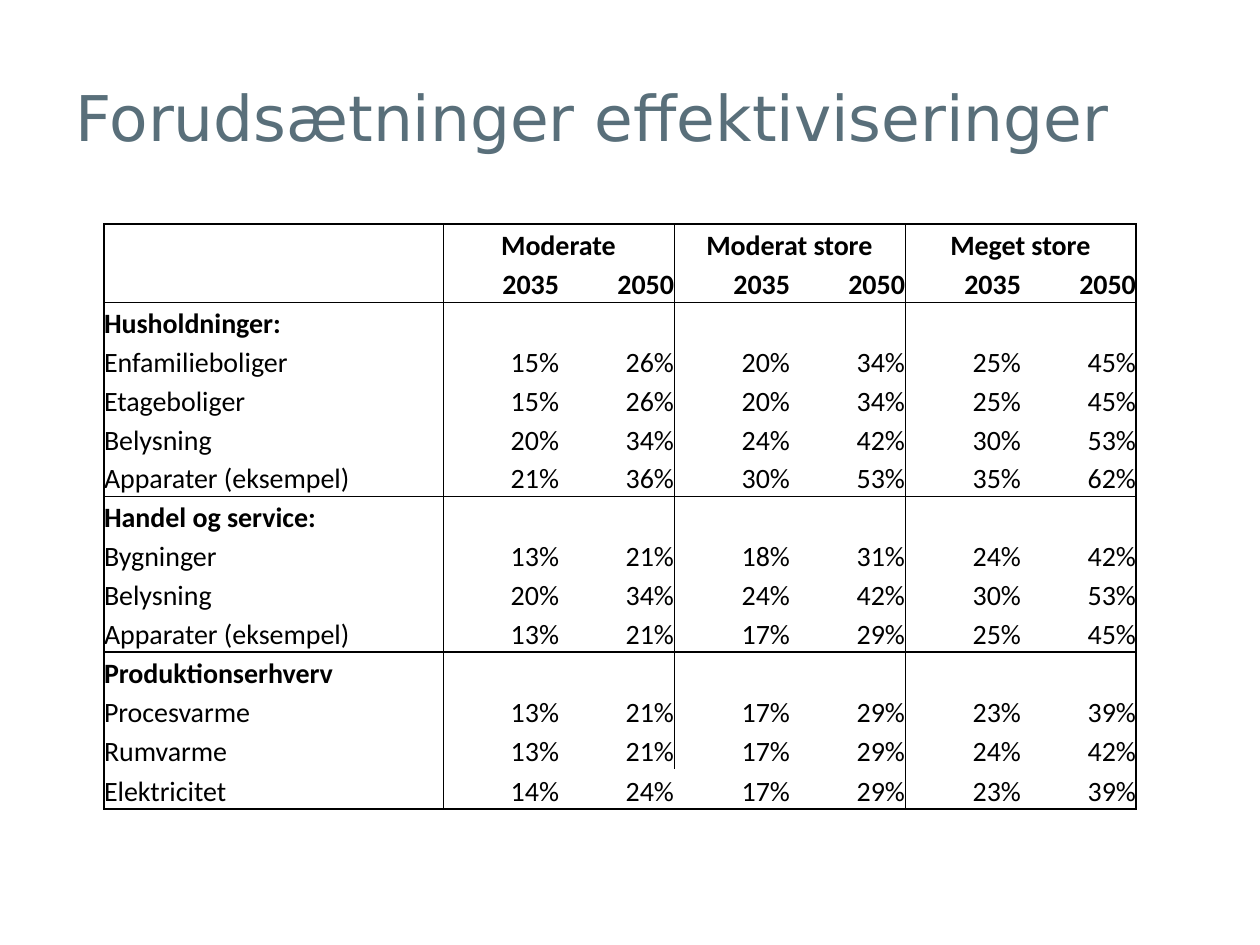
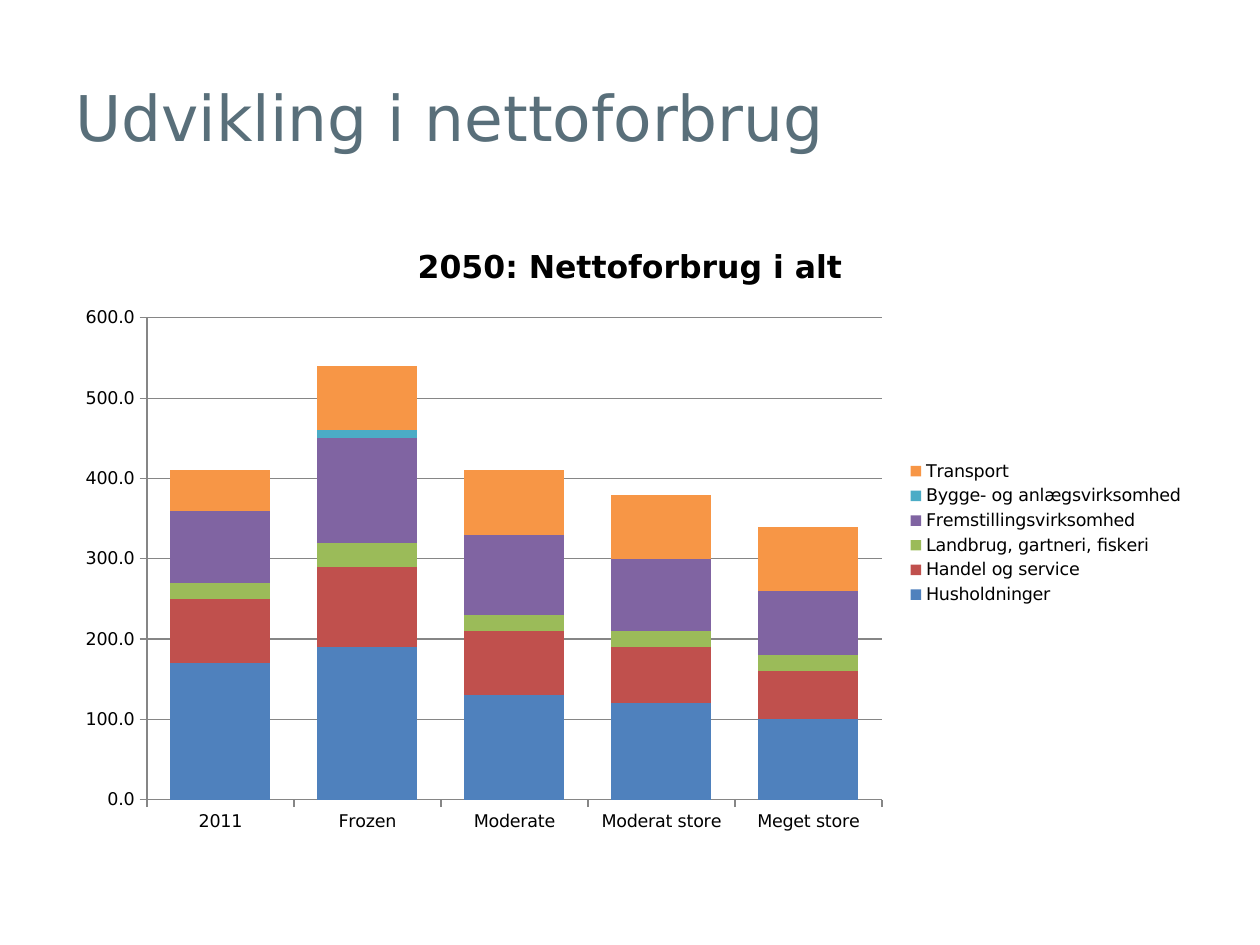
from dataclasses import dataclass

from lxml import etree
from pptx import Presentation
from pptx.chart.data import CategoryChartData
from pptx.dml.color import RGBColor
from pptx.enum.chart import XL_CHART_TYPE, XL_LEGEND_POSITION, XL_TICK_MARK
from pptx.enum.text import MSO_ANCHOR, MSO_AUTO_SIZE, PP_ALIGN
from pptx.oxml.ns import qn
from pptx.util import Pt

STACKED = XL_CHART_TYPE.COLUMN_STACKED
LEGEND_RIGHT = XL_LEGEND_POSITION.RIGHT
TICK_OUT, TICK_NONE = XL_TICK_MARK.OUTSIDE, XL_TICK_MARK.NONE
MIDDLE, BOTTOM = MSO_ANCHOR.MIDDLE, MSO_ANCHOR.BOTTOM
LEFT, CENTER, RIGHT = PP_ALIGN.LEFT, PP_ALIGN.CENTER, PP_ALIGN.RIGHT
NO_AUTOFIT = MSO_AUTO_SIZE.NONE

PX_PER_INCH = 126
TITLE_ONLY = 5


@dataclass(frozen=True)
class Theme:
    title_font: str = "DejaVu Sans"
    table_font: str = "Calibri"
    title_color: str = "596F7A"
    ink: str = "000000"
    axis: str = "868686"
    title_size: int = 36
    table_size: int = 16
    chart_title_size: int = 18
    chart_size: int = 10
    axis_width: float = 0.75


def px(length):
    return round(length * 914400 / PX_PER_INCH)


def apply(target, values):
    for name, value in values.items():
        setattr(target, name, value)


def style_font(font, name, size, color, bold=False):
    apply(font, {"name": name, "size": Pt(size), "bold": bold})
    font.color.rgb = RGBColor.from_string(color)


class Deck:
    """Holds the theme, the presentation and the page being built."""

    def __init__(self, theme, width, height):
        self.theme = theme
        self.presentation = Presentation()
        apply(self.presentation, {"slide_width": px(width), "slide_height": px(height)})
        self.page = None

    def add_page(self, title):
        layout = self.presentation.slide_layouts[TITLE_ONLY]
        self.page = self.presentation.slides.add_slide(layout)
        box = self.page.shapes.title
        apply(box, {"left": px(63), "top": px(38), "width": px(1134), "height": px(157)})
        apply(box.text_frame, {"text": title, "word_wrap": True,
                               "auto_size": NO_AUTOFIT, "vertical_anchor": MIDDLE})
        para = box.text_frame.paragraphs[0]
        para.alignment = LEFT
        style_font(para.runs[0].font, self.theme.title_font,
                   self.theme.title_size, self.theme.title_color)

    def add_table(self, left, top, widths, heights):
        frame = self.page.shapes.add_table(
            len(heights), len(widths), px(left), px(top), px(sum(widths)), px(sum(heights)))
        table = frame.table
        apply(table, {"first_row": False, "horz_banding": False})
        for column, width in zip(table.columns, widths):
            column.width = px(width)
        for row, height in zip(table.rows, heights):
            row.height = px(height)
        return table

    def fill_cell(self, cell, text, alignment, bold):
        apply(cell, {"margin_left": 0, "margin_right": 0, "margin_top": 0,
                     "margin_bottom": 0, "vertical_anchor": BOTTOM})
        if text:
            cell.text = text
            para = cell.text_frame.paragraphs[0]
            para.alignment = alignment
            style_font(para.runs[0].font, self.theme.table_font,
                       self.theme.table_size, self.theme.ink, bold)

    def rule_cell(self, cell, widths):
        """Draw borders from a side-to-points dict; None leaves a side open."""
        properties = cell._tc.get_or_add_tcPr()
        for side in "LRTB":
            line = etree.SubElement(properties, qn(f"a:ln{side}"))
            if widths[side] is None:
                etree.SubElement(line, qn("a:noFill"))
            else:
                line.set("w", str(Pt(widths[side])))
                fill = etree.SubElement(line, qn("a:solidFill"))
                etree.SubElement(fill, qn("a:srgbClr"), val=self.theme.ink)
        cell.fill.background()

    def add_stacked_chart(self, title, categories, series, area, plot_area):
        data = CategoryChartData(number_format="0.0")
        data.categories = categories
        for name, _, values in series:
            data.add_series(name, values)
        chart = self.page.shapes.add_chart(STACKED, *map(px, area), data).chart
        style_font(chart.font, self.theme.title_font, self.theme.chart_size, self.theme.ink)

        chart.has_title = True
        chart.chart_title.include_in_layout = False
        chart.chart_title.text_frame.text = title
        span = chart.chart_title.text_frame.paragraphs[0].runs[0]
        style_font(span.font, self.theme.title_font,
                   self.theme.chart_title_size, self.theme.ink, True)

        chart.has_legend = True
        apply(chart.legend, {"position": LEGEND_RIGHT, "include_in_layout": False})
        plot = chart.plots[0]
        apply(plot, {"gap_width": 47, "overlap": 100, "vary_by_categories": False})
        for bars, (_, color, _) in zip(plot.series, series):
            bars.format.fill.solid()
            bars.format.fill.fore_color.rgb = RGBColor.from_string(color)
        self.style_axes(chart)
        self.place_plot(chart, area, plot_area)

    def style_axes(self, chart):
        value_axis = chart.value_axis
        apply(value_axis, {"minimum_scale": 0, "maximum_scale": 600, "major_unit": 100,
                           "has_major_gridlines": True})
        apply(value_axis.tick_labels, {"number_format": "0.0",
                                       "number_format_is_linked": False})
        for axis in (chart.category_axis, value_axis):
            apply(axis, {"major_tick_mark": TICK_OUT, "minor_tick_mark": TICK_NONE})
        for part in (chart.category_axis, value_axis, value_axis.major_gridlines):
            part.format.line.width = Pt(self.theme.axis_width)
            part.format.line.color.rgb = RGBColor.from_string(self.theme.axis)

    def place_plot(self, chart, area, plot_area):
        """Fix the inner plot rectangle as fractions of the chart area."""
        holder = chart.element.find(".//" + qn("c:plotArea"))
        for old in holder.findall(qn("c:layout")):
            holder.remove(old)
        layout = etree.Element(qn("c:layout"))
        holder.insert(0, layout)
        manual = etree.SubElement(layout, qn("c:manualLayout"))
        left, top, width, height = area
        plot_left, plot_top, plot_width, plot_height = plot_area
        settings = {
            "layoutTarget": "inner", "xMode": "edge", "yMode": "edge",
            "x": (plot_left - left) / width, "y": (plot_top - top) / height,
            "w": plot_width / width, "h": plot_height / height,
        }
        for name, value in settings.items():
            etree.SubElement(manual, qn(f"c:{name}"), val=str(value))


SCENARIOS = ["Moderate", "Moderat store", "Meget store"]

# A row without figures opens a section.
SAVINGS = [
    ("Husholdninger:",),
    ("Enfamilieboliger", 15, 26, 20, 34, 25, 45),
    ("Etageboliger", 15, 26, 20, 34, 25, 45),
    ("Belysning", 20, 34, 24, 42, 30, 53),
    ("Apparater (eksempel)", 21, 36, 30, 53, 35, 62),
    ("Handel og service:",),
    ("Bygninger", 13, 21, 18, 31, 24, 42),
    ("Belysning", 20, 34, 24, 42, 30, 53),
    ("Apparater (eksempel)", 13, 21, 17, 29, 25, 45),
    ("Produktionserhverv",),
    ("Procesvarme", 13, 21, 17, 29, 23, 39),
    ("Rumvarme", 13, 21, 17, 29, 24, 42),
    ("Elektricitet", 14, 24, 17, 29, 23, 39),
]

# Line widths in points, keyed by the grid line's index.
ROW_LINES = {0: 1, 2: 0.5, 7: 0.5, 11: 1, 15: 1}
COLUMN_LINES = {0: 1, 1: 0.5, 3: 0.5, 5: 0.5, 7: 1}

COLUMN_WIDTHS = [339] + [116, 115] * 3
ROW_HEIGHTS = [39] * 6 + [38] + [39] * 7 + [40]

CONSUMPTION = [
    ("Husholdninger", "4F81BD", (170, 190, 130, 120, 100)),
    ("Handel og service", "C0504D", (80, 100, 80, 70, 60)),
    ("Landbrug, gartneri, fiskeri", "9BBB59", (20, 30, 20, 20, 20)),
    ("Fremstillingsvirksomhed", "8064A2", (90, 130, 100, 90, 80)),
    ("Bygge- og anlægsvirksomhed", "4BACC6", (0, 10, 0, 0, 0)),
    ("Transport", "F79646", (50, 80, 80, 80, 80)),
]


def build_savings_page(deck):
    deck.add_page("Forudsætninger effektiviseringer")
    rows = [[""] + [text for name in SCENARIOS for text in (name, "")],
            [""] + ["2035", "2050"] * len(SCENARIOS)]
    for label, *figures in SAVINGS:
        rows.append([label] + ([f"{figure}%" for figure in figures] or [""] * 6))
    last = len(rows) - 1
    table = deck.add_table(104, 224, COLUMN_WIDTHS, ROW_HEIGHTS)
    for column in (1, 3, 5):
        table.cell(0, column).merge(table.cell(0, column + 1))

    for row, texts in enumerate(rows):
        bold = row < 2 or not texts[1]
        lines = dict(COLUMN_LINES)
        if row == last:
            del lines[3]
        for column, text in enumerate(texts):
            cell = table.cell(row, column)
            alignment = LEFT if column == 0 else CENTER if row == 0 else RIGHT
            deck.fill_cell(cell, text, alignment, bold)
            span = cell.span_width if cell.is_merge_origin else 1
            deck.rule_cell(cell, {"L": lines.get(column), "R": lines.get(column + span),
                                  "T": ROW_LINES.get(row), "B": ROW_LINES.get(row + 1)})


def build_consumption_page(deck):
    deck.add_page("Udvikling i nettoforbrug")
    deck.add_stacked_chart("2050: Nettoforbrug i alt", ["2011", "Frozen"] + SCENARIOS,
                           CONSUMPTION, area=(63, 221, 1134, 624),
                           plot_area=(147, 318, 735, 482))


def main():
    deck = Deck(Theme(), 1260, 945)
    build_savings_page(deck)
    build_consumption_page(deck)
    deck.presentation.save("out.pptx")


if __name__ == "__main__":
    main()
